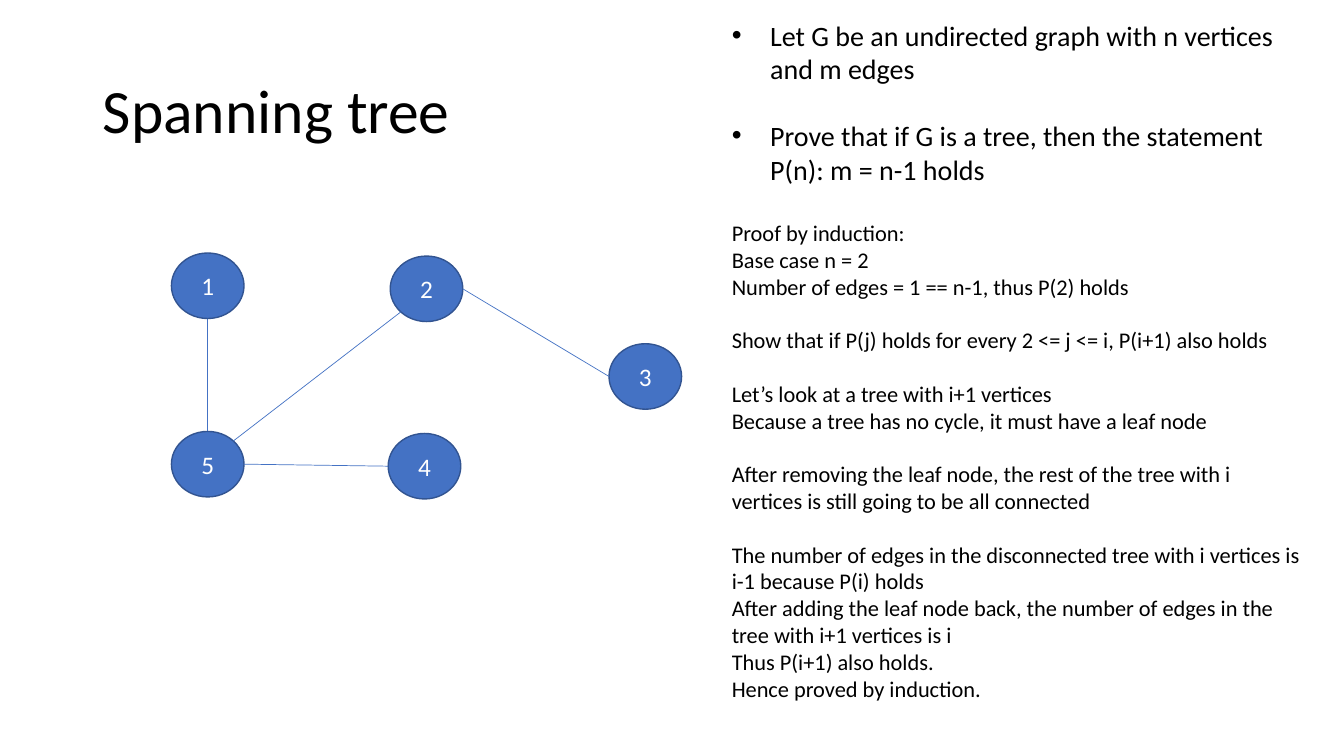
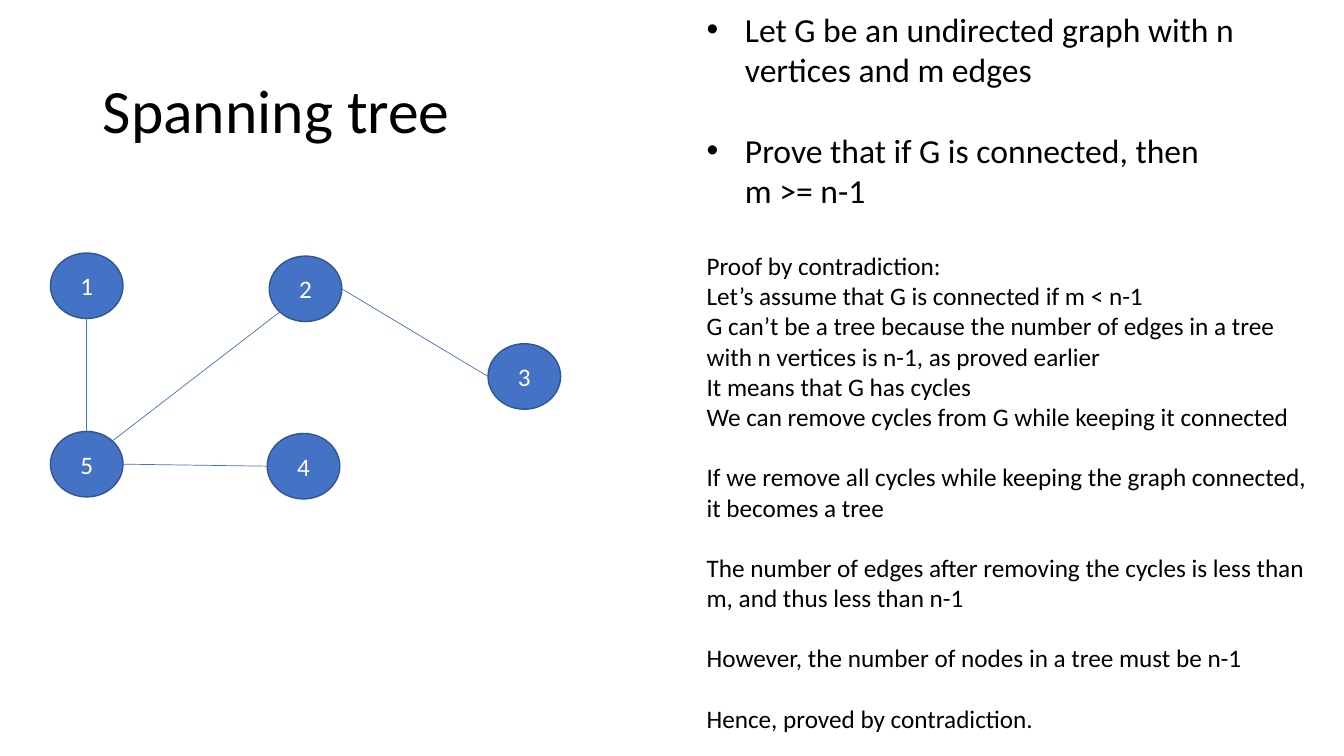
from typing import NamedTuple

from lxml import etree
from pptx import Presentation
from pptx.dml.color import RGBColor
from pptx.enum import shapes, text
from pptx.oxml.ns import qn
from pptx.util import Inches, Pt

BLACK = RGBColor(0x00, 0x00, 0x00)
WHITE = RGBColor(0xFF, 0xFF, 0xFF)
BLUE = RGBColor(0x44, 0x72, 0xC4)
DARK_BLUE = RGBColor(0x32, 0x54, 0x91)
FONT = "Calibri"
LINE_HEIGHT = 1.19  # gap of one line, as a multiple of the text size
NODE_W, NODE_H = 0.72, 0.65
HANG = 0.38
DIAGONAL = 0.5 ** 0.5


class Node(NamedTuple):
    label: str
    left: float
    top: float


class Edge(NamedTuple):
    start: str
    start_side: tuple[float, float]
    end: str
    end_side: tuple[float, float]


class Para(NamedTuple):
    words: str
    bullet: bool = False
    indent: float = 0
    gap: bool = False  # one line of space above


class Page(NamedTuple):
    graph_left: float
    box: tuple[float, float, float, float]
    claim_size: int
    proof_size: int
    claim: list[Para]
    proof: list[Para]


# Node places relative to the graph's left edge
NODES = [Node("1", 0, 2.51), Node("2", 2.17, 2.54), Node("5", 0, 4.28),
         Node("4", 2.15, 4.3), Node("3", 4.34, 3.41)]

# Sides as directions from a node's centre
TOP, BOTTOM, LEFT, RIGHT = (0, -1), (0, 1), (-1, 0), (1, 0)
TOP_RIGHT, BOTTOM_LEFT = (DIAGONAL, -DIAGONAL), (-DIAGONAL, DIAGONAL)
EDGES = [Edge("1", BOTTOM, "5", TOP), Edge("5", RIGHT, "4", LEFT),
         Edge("5", TOP_RIGHT, "2", BOTTOM_LEFT), Edge("2", RIGHT, "3", LEFT)]

GRAPH_CLAIM = Para("Let G be an undirected graph with n vertices and m edges", bullet=True)

PAGES = [
    Page(1.7, (7.16, 0.13, 5.87, 6.97), 20, 16, [
        GRAPH_CLAIM,
        Para("Prove that if G is a tree, then the statement P(n): m = n-1 holds",
             bullet=True, gap=True),
    ], [
        Para("Proof by induction:"),
        Para("Base case n = 2"),
        Para("Number of edges = 1 == n-1, thus P(2) holds"),
        Para("Show that if P(j) holds for every 2 <= j <= i, P(i+1) also holds", gap=True),
        Para("Let’s look at a tree with i+1 vertices", gap=True),
        Para("Because a tree has no cycle, it must have a leaf node"),
        Para("After removing the leaf node, the rest of the tree with i vertices "
             "is still going to be all connected", gap=True),
        Para("The number of edges in the disconnected tree with i vertices is i-1 "
             "because P(i) holds", gap=True),
        Para("After adding the leaf node back, the number of edges in the tree "
             "with i+1 vertices is i"),
        Para("Thus P(i+1) also holds."),
        Para("Hence proved by induction."),
    ]),
    Page(0.5, (6.91, 0.04, 6.18, 7.37), 24, 18, [
        GRAPH_CLAIM,
        Para("Prove that if G is connected, then", bullet=True, gap=True),
        Para("m >= n-1", indent=HANG),
    ], [
        Para("Proof by contradiction:"),
        Para("Let’s assume that G is connected if m < n-1"),
        Para("G can’t be a tree because the number of edges in a tree with n vertices "
             "is n-1, as proved earlier"),
        Para("It means that G has cycles"),
        Para("We can remove cycles from G while keeping it connected"),
        Para("If we remove all cycles while keeping the graph connected, "
             "it becomes a tree", gap=True),
        Para("The number of edges after removing the cycles is less than m, "
             "and thus less than n-1", gap=True),
        Para("However, the number of nodes in a tree must be n-1", gap=True),
        Para("Hence, proved by contradiction.", gap=True),
    ]),
]


def add_run(p, words: str, size: float, color: RGBColor) -> None:
    r = p.add_run()
    r.text = words
    r.font.name, r.font.size = FONT, Pt(size)
    r.font.color.rgb = color


def set_title(s, words: str) -> None:
    sp = s.shapes.title
    sp.left, sp.top, sp.width, sp.height = map(Inches, (0.92, 0.4, 11.5, 1.45))
    tf = sp.text_frame
    tf.vertical_anchor = text.MSO_ANCHOR.MIDDLE
    tf.auto_size = text.MSO_AUTO_SIZE.NONE
    p = tf.paragraphs[0]
    p.alignment, p.line_spacing = text.PP_ALIGN.LEFT, 0.9
    add_run(p, words, 44, BLACK)


def add_node(s, node: Node, graph_left: float) -> None:
    sp = s.shapes.add_shape(
        shapes.MSO_SHAPE.OVAL, Inches(graph_left + node.left), Inches(node.top),
        Inches(NODE_W), Inches(NODE_H))
    sp.shadow.inherit = False
    sp.fill.solid()
    sp.fill.fore_color.rgb = BLUE
    sp.line.color.rgb = DARK_BLUE
    sp.line.width = Pt(1)
    tf = sp.text_frame
    tf.vertical_anchor = text.MSO_ANCHOR.MIDDLE
    p = tf.paragraphs[0]
    p.alignment = text.PP_ALIGN.CENTER
    add_run(p, node.label, 18, WHITE)


def rim_point(node: Node, side: tuple[float, float], graph_left: float) -> tuple[int, int]:
    """Point on a node's outline in the given direction."""
    x = graph_left + node.left + NODE_W / 2 * (1 + side[0])
    y = node.top + NODE_H / 2 * (1 + side[1])
    return Inches(x), Inches(y)


def add_edge(s, edge: Edge, graph_left: float) -> None:
    nodes = {node.label: node for node in NODES}
    cxn = s.shapes.add_connector(
        shapes.MSO_CONNECTOR.STRAIGHT,
        *rim_point(nodes[edge.start], edge.start_side, graph_left),
        *rim_point(nodes[edge.end], edge.end_side, graph_left))
    cxn.line.color.rgb = BLUE
    cxn.line.width = Pt(0.5)
    etree.SubElement(cxn._element.spPr, qn("a:effectLst"))


def add_bullet(p) -> None:
    pPr = p._p.get_or_add_pPr()
    etree.SubElement(pPr, qn("a:buFont"), typeface="Arial")
    etree.SubElement(pPr, qn("a:buChar"), char="•")


def indent(p, left: float, first: float) -> None:
    pPr = p._p.get_or_add_pPr()
    pPr.set("marL", str(Inches(left)))
    pPr.set("indent", str(Inches(first)))


def add_argument(s, page: Page) -> None:
    sp = s.shapes.add_textbox(*map(Inches, page.box))
    tf = sp.text_frame
    tf.word_wrap = True
    tf.auto_size = text.MSO_AUTO_SIZE.SHAPE_TO_FIT_TEXT
    p = tf.paragraphs[0]
    lines = [(para, page.claim_size) for para in page.claim]
    lines += [(para, page.proof_size) for para in page.proof]
    for i, (para, size) in enumerate(lines):
        if i:
            p = tf.add_paragraph()
        if para.gap:
            p.space_before = Pt(size * LINE_HEIGHT)
        elif i == len(page.claim):  # the proof starts one claim line lower
            p.space_before = Pt(page.claim_size * LINE_HEIGHT)
        if para.bullet:
            indent(p, HANG, -HANG)
            add_bullet(p)
        elif para.indent:
            indent(p, para.indent, 0)
        add_run(p, para.words, size, BLACK)


def add_page(prs, page: Page) -> None:
    s = prs.slides.add_slide(prs.slide_layouts.get_by_name("Title Only"))
    set_title(s, "Spanning tree")
    for node in NODES:
        add_node(s, node, page.graph_left)
    for edge in EDGES:
        add_edge(s, edge, page.graph_left)
    add_argument(s, page)


def main() -> None:
    prs = Presentation()
    prs.slide_width, prs.slide_height = Inches(13.33), Inches(7.5)
    for page in PAGES:
        add_page(prs, page)
    prs.save("out.pptx")


if __name__ == "__main__":
    main()
